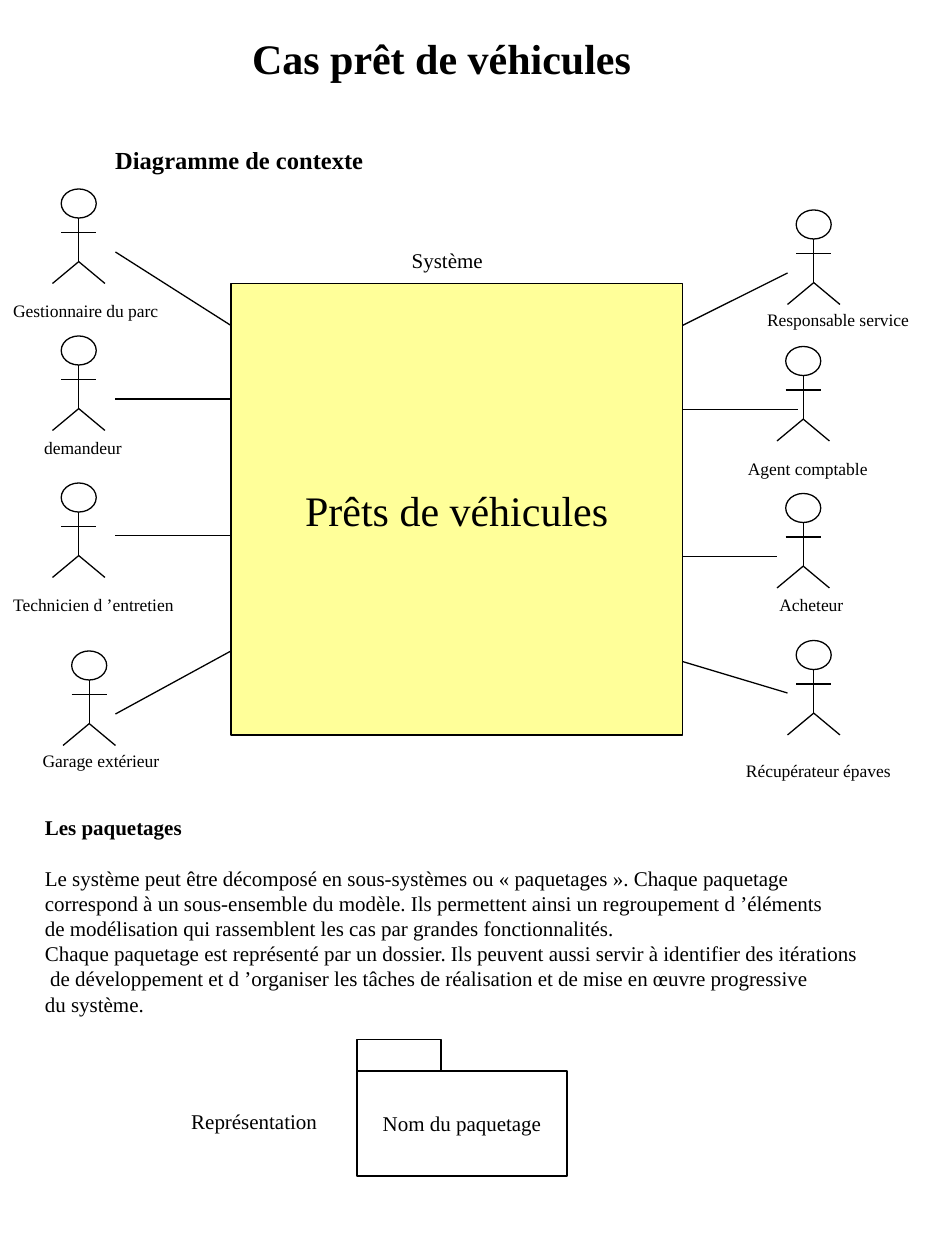
from dataclasses import dataclass

from lxml.etree import SubElement
from pptx import Presentation
from pptx.dml.color import RGBColor
from pptx.enum.shapes import MSO_CONNECTOR, MSO_SHAPE
from pptx.enum.text import MSO_ANCHOR, MSO_AUTO_SIZE, PP_ALIGN
from pptx.oxml.ns import qn
from pptx.util import Pt


@dataclass(frozen=True)
class Theme:
    font: str = "Times New Roman"
    ink: RGBColor = RGBColor(0, 0, 0)
    paper: RGBColor = RGBColor(255, 255, 255)
    system: RGBColor = RGBColor(255, 255, 153)
    line: float = 0.75
    title: int = 24
    subtitle: int = 14
    body: int = 12
    label: int = 10


@dataclass(frozen=True)
class Box:
    x: float
    y: float
    w: float
    h: float


@dataclass(frozen=True)
class Actor:
    name: str
    label: Box
    cx: float
    top: float
    link_from: tuple[float, float]
    link_y: float


THEME = Theme()
SYSTEM = Box(132, 162, 258, 258)
LABEL_H = 19.4

LEFT_ACTORS = [
    Actor("Gestionnaire du parc", Box(0.4, 168, 100, LABEL_H), 45, 108, (66, 144), 186),
    Actor("demandeur", Box(18.2, 246, 61, LABEL_H), 45, 192, (66, 228), 228),
    Actor("Technicien d\u00a0’entretien", Box(0.4, 336, 109, LABEL_H), 45, 276, (66, 306), 306),
    Actor("Garage extérieur", Box(17.3, 425, 84, LABEL_H), 51, 372, (66, 408), 372),
]
RIGHT_ACTORS = [
    Actor("Responsable service", Box(431.2, 173, 98, LABEL_H), 465, 120, (450, 156), 186),
    Actor("Agent comptable", Box(420.3, 258, 85, LABEL_H), 459, 198, (456, 234), 234),
    Actor("Acheteur", Box(438.3, 336, 54, LABEL_H), 459, 282, (444, 318), 318),
    Actor("Récupérateur épaves", Box(419.2, 430.5, 100, LABEL_H), 465, 366, (450, 396), 378),
]

PACKAGES_HEADING = "Les paquetages"
PACKAGES_LINES = [
    "Le système peut être décomposé en sous-systèmes ou «\u00a0paquetages\u00a0». Chaque paquetage",
    "correspond à un sous-ensemble du modèle. Ils permettent ainsi un regroupement d\u00a0’éléments",
    "de modélisation qui rassemblent les cas par grandes fonctionnalités.",
    "Chaque paquetage est représenté par un dossier. Ils peuvent aussi servir à identifier des itérations",
    " de développement et d\u00a0’organiser les tâches de réalisation et de mise en œuvre progressive",
    "du système.",
]


def pts(*values: float) -> list[Pt]:
    return [Pt(v) for v in values]


def apply(target, values: dict) -> None:
    for name, value in values.items():
        setattr(target, name, value)


def write(p, text: str, size: int, bold: bool = False, align=PP_ALIGN.LEFT) -> None:
    p.alignment = align
    r = p.add_run()
    r.text = text
    apply(r.font, {"name": THEME.font, "size": Pt(size), "bold": bold})
    r.font.color.rgb = THEME.ink


def add_text(shapes, box: Box, text: str, size: int, bold: bool = False):
    sp = shapes.add_textbox(*pts(box.x, box.y, box.w, box.h))
    tf = sp.text_frame
    apply(tf, {"word_wrap": True, "auto_size": MSO_AUTO_SIZE.SHAPE_TO_FIT_TEXT})
    write(tf.paragraphs[0], text, size, bold)
    return tf


def add_outlined(shapes, kind: MSO_SHAPE, box: Box, fill: RGBColor):
    sp = shapes.add_shape(kind, *pts(box.x, box.y, box.w, box.h))
    sp.shadow.inherit = False
    sp.fill.solid()
    sp.fill.fore_color.rgb = fill
    sp.line.color.rgb = THEME.ink
    sp.line.width = Pt(THEME.line)
    return sp


def add_captioned(shapes, box: Box, fill: RGBColor, text: str, size: int) -> None:
    tf = add_outlined(shapes, MSO_SHAPE.RECTANGLE, box, fill).text_frame
    apply(tf, {"word_wrap": False, "vertical_anchor": MSO_ANCHOR.MIDDLE})
    write(tf.paragraphs[0], text, size, align=PP_ALIGN.CENTER)


def add_line(shapes, x1: float, y1: float, x2: float, y2: float) -> None:
    line = shapes.add_connector(MSO_CONNECTOR.STRAIGHT, *pts(x1, y1, x2, y2))
    line.line.color.rgb = THEME.ink
    line.line.width = Pt(THEME.line)
    SubElement(line._element.spPr, qn("a:effectLst"))


def add_stick_figure(shapes, cx: float, top: float) -> None:
    neck, arms, hips, feet = (top + d for d in (16.6, 24.9, 41.5, 54))
    figure = shapes.add_group_shape().shapes
    add_line(figure, cx, neck, cx, hips)
    add_outlined(figure, MSO_SHAPE.OVAL, Box(cx - 10, top, 20, neck - top), THEME.paper)
    add_line(figure, cx - 10, arms, cx + 10, arms)
    for side in (-1, 1):
        add_line(figure, cx, hips, cx + side * 15, feet)


def add_actors(shapes, actors: list[Actor], system_edge: float) -> None:
    for actor in actors:
        add_stick_figure(shapes, actor.cx, actor.top)
        add_text(shapes, actor.label, actor.name, THEME.label)
        add_line(shapes, *actor.link_from, system_edge, actor.link_y)


def add_title(s, box: Box, text: str) -> None:
    sp = s.shapes.title
    apply(sp, dict(zip(("left", "top", "width", "height"), pts(box.x, box.y, box.w, box.h))))
    tf = sp.text_frame
    apply(tf, {"word_wrap": True, "auto_size": MSO_AUTO_SIZE.SHAPE_TO_FIT_TEXT,
               "vertical_anchor": MSO_ANCHOR.TOP})
    write(tf.paragraphs[0], text, THEME.title, bold=True)


def add_packages_text(shapes) -> None:
    tf = add_text(shapes, Box(18.6, 462, 484, 122.4), PACKAGES_HEADING, THEME.body, bold=True)
    tf.paragraphs[0].space_after = Pt(14.4)
    for text in PACKAGES_LINES:
        write(tf.add_paragraph(), text, THEME.body)


def add_package_symbol(shapes) -> None:
    add_text(shapes, Box(102.2, 630, 90, 21.6), "Représentation", THEME.body)
    folder = shapes.add_group_shape().shapes
    add_captioned(folder, Box(204, 612, 120, 60), THEME.paper, "Nom du paquetage", THEME.body)
    add_outlined(folder, MSO_SHAPE.RECTANGLE, Box(204, 594, 48, 18), THEME.paper)


def main() -> None:
    prs = Presentation()
    apply(prs, {"slide_width": Pt(540), "slide_height": Pt(720)})
    s = prs.slides.add_slide(prs.slide_layouts.get_by_name("Title Only"))
    add_title(s, Box(136.8, 15.2, 236, 36), "Cas prêt de véhicules")
    add_text(s.shapes, Box(58.8, 79.2, 160, 24.5), "Diagramme de contexte", THEME.subtitle, bold=True)
    add_text(s.shapes, Box(228.2, 138, 58, 21.6), "Système", THEME.body)
    add_captioned(s.shapes, SYSTEM, THEME.system, "Prêts de véhicules", THEME.title)
    add_actors(s.shapes, LEFT_ACTORS, SYSTEM.x)
    add_actors(s.shapes, RIGHT_ACTORS, SYSTEM.x + SYSTEM.w)
    add_packages_text(s.shapes)
    add_package_symbol(s.shapes)
    prs.save("out.pptx")


if __name__ == "__main__":
    main()
